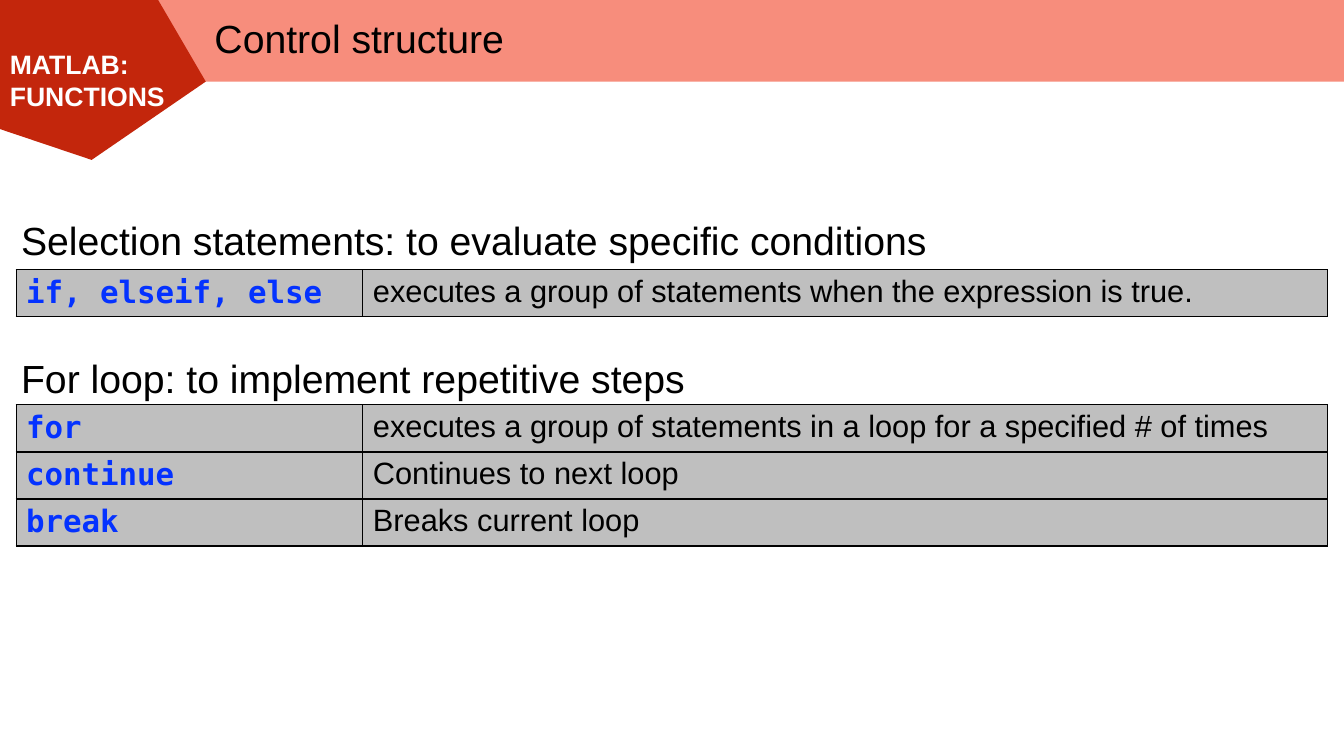
import pptx
import pptx.dml.color
import pptx.enum.shapes
import pptx.enum.text
import pptx.oxml
import pptx.util

Pt = pptx.util.Pt
TEXT_FONT, CODE_FONT = "Arial", "DejaVu Sans Mono"
BLACK, WHITE, CODE_BLUE = "000000", "FFFFFF", "0432FF"
BAND_PINK, BADGE_RED, CELL_GREY = "F78D7C", "C3260C", "BFBFBF"
COLUMN_WIDTHS = (247.7, 689)
ROW_HEIGHT = 32.8


def color(hex_string):
    return pptx.dml.color.RGBColor.from_string(hex_string)


def add_run(paragraph, text, size, hex_color=BLACK, font=TEXT_FONT, bold=False):
    run = paragraph.add_run()
    run.text = text
    run.font.size = Pt(size)
    run.font.name = font
    run.font.bold = bold
    run.font.color.rgb = color(hex_color)


def paint(shape, hex_color):
    shape.shadow.inherit = False
    shape.fill.solid()
    shape.fill.fore_color.rgb = color(hex_color)
    shape.line.fill.background()


def add_band(slide):
    band = slide.shapes.add_shape(
        pptx.enum.shapes.MSO_SHAPE.RECTANGLE, Pt(66), 0, Pt(894), Pt(58.3))
    paint(band, BAND_PINK)


def add_badge(slide, text):
    # Builder coordinates are hundredths of a point
    corners = [(113, 0), (0, 0), (0, 92.2), (65.5, 114.2), (147, 58.3)]
    points = [(round(x * 100), round(y * 100)) for x, y in corners]
    builder = slide.shapes.build_freeform(*points[0], scale=Pt(1) / 100)
    builder.add_line_segments(points[1:], close=True)
    badge = builder.convert_to_shape()
    paint(badge, BADGE_RED)
    frame = badge.text_frame
    frame.word_wrap = True
    frame.vertical_anchor = pptx.enum.text.MSO_ANCHOR.MIDDLE
    label = frame.paragraphs[0]
    label.alignment = pptx.enum.text.PP_ALIGN.LEFT
    add_run(label, text, 19, WHITE, bold=True)


def set_title(slide, text):
    title = slide.shapes.title
    title.left, title.top, title.width, title.height = Pt(146), Pt(6.5), Pt(814), Pt(44.6)
    # Bring the title in front of the band
    title.element.getparent().append(title.element)
    frame = title.text_frame
    frame.auto_size = pptx.enum.text.MSO_AUTO_SIZE.NONE
    frame.vertical_anchor = pptx.enum.text.MSO_ANCHOR.MIDDLE
    heading = frame.paragraphs[0]
    heading.alignment = pptx.enum.text.PP_ALIGN.LEFT
    heading.line_spacing = 0.9
    add_run(heading, text, 28)


def add_heading(slide, text, top, width):
    box = slide.shapes.add_textbox(Pt(8), Pt(top), Pt(width), Pt(41))
    box.text_frame.word_wrap = False
    box.text_frame.auto_size = pptx.enum.text.MSO_AUTO_SIZE.SHAPE_TO_FIT_TEXT
    add_run(box.text_frame.paragraphs[0], text, 28)


def format_cell(cell):
    # Borders go before the fill in the cell properties
    properties = cell._tc.get_or_add_tcPr()
    for side in "LRTB":
        properties.append(pptx.oxml.parse_xml(
            f'<a:ln{side} xmlns:a="http://schemas.openxmlformats.org/drawingml/2006/main" '
            f'w="{Pt(1)}"><a:solidFill><a:srgbClr val="{BLACK}"/></a:solidFill></a:ln{side}>'))
    cell.fill.solid()
    cell.fill.fore_color.rgb = color(CELL_GREY)


def add_statements(slide, statements, top):
    table = slide.shapes.add_table(
        len(statements), 2, Pt(11.5), Pt(top),
        Pt(sum(COLUMN_WIDTHS)), Pt(ROW_HEIGHT * len(statements))).table
    table.first_row = table.horz_banding = False
    for column, width in zip(table.columns, COLUMN_WIDTHS):
        column.width = Pt(width)
    for row, (keyword, meaning) in zip(table.rows, statements):
        row.height = Pt(ROW_HEIGHT)
        keyword_cell, meaning_cell = row.cells
        format_cell(keyword_cell)
        format_cell(meaning_cell)
        add_run(keyword_cell.text_frame.paragraphs[0], keyword, 22, CODE_BLUE, CODE_FONT, True)
        add_run(meaning_cell.text_frame.paragraphs[0], meaning, 22)


def main():
    deck = pptx.Presentation()
    deck.slide_width, deck.slide_height = Pt(960), Pt(540)
    slide = deck.slides.add_slide(deck.slide_layouts[5])

    # Header
    add_band(slide)
    add_badge(slide, "MATLAB: FUNCTIONS")
    set_title(slide, "Control structure")

    # Selection statements
    add_heading(slide, "Selection statements: to evaluate specific conditions", 151.3, 669.5)
    add_statements(slide, [
        ("if, elseif, else", "executes a group of statements when the expression is true."),
    ], 192.6)

    # Loops
    add_heading(slide, "For loop: to implement repetitive steps", 249.2, 494.5)
    add_statements(slide, [
        ("for", "executes a group of statements in a loop for a specified # of times"),
        ("continue", "Continues to next loop"),
        ("break", "Breaks current loop"),
    ], 289.2)

    deck.save("out.pptx")


if __name__ == "__main__":
    main()
